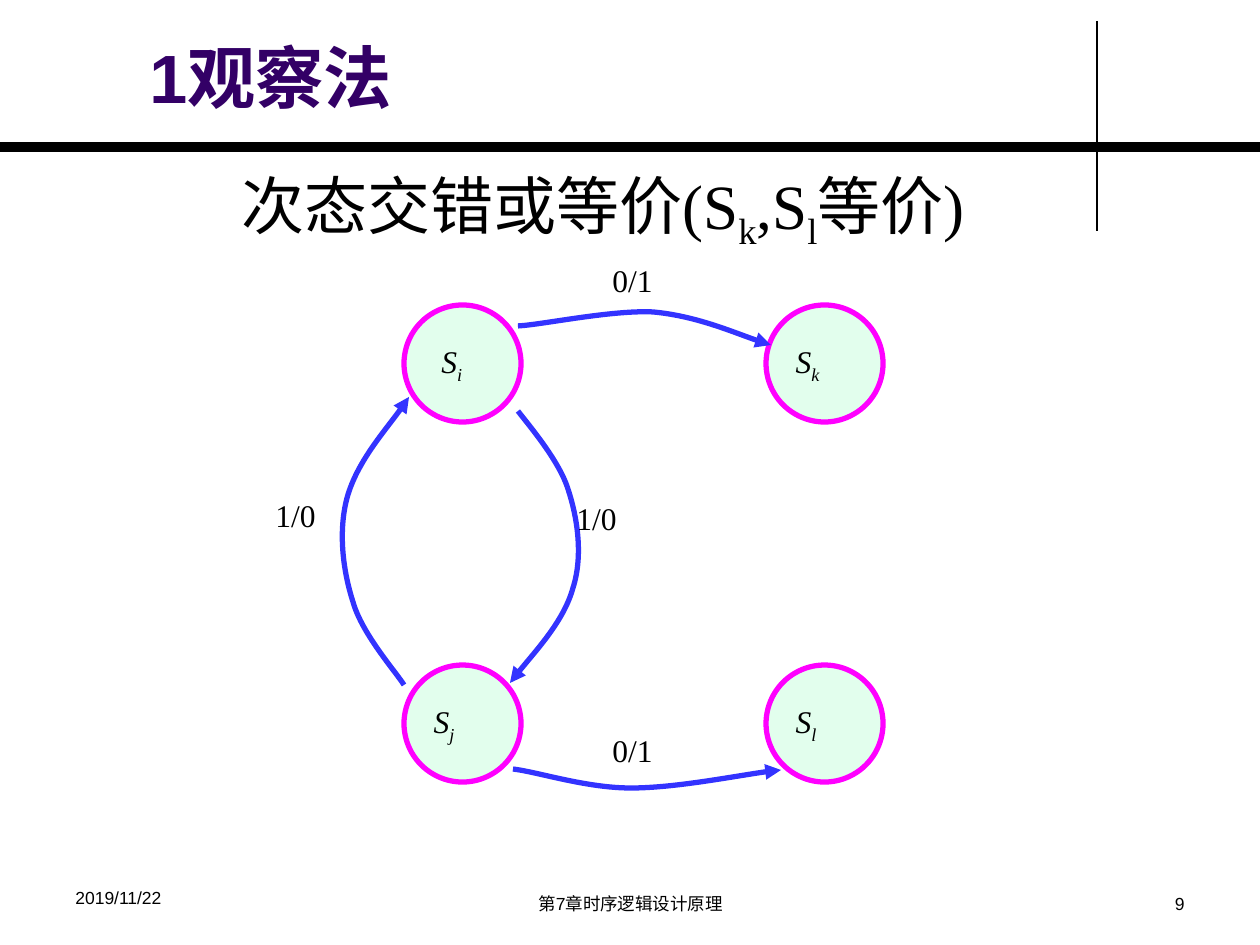
from typing import NamedTuple

from lxml.etree import SubElement
from pptx import Presentation
from pptx.dml.color import RGBColor
from pptx.enum.shapes import MSO_CONNECTOR as Conn, MSO_SHAPE as Shp
from pptx.enum.text import MSO_ANCHOR as Anchor, PP_ALIGN as Align
from pptx.oxml.ns import qn
from pptx.util import Emu, Pt

SCALE = 914400 / 126  # EMU in one px
SERIF, SANS = "Times New Roman", "Arial"
BLACK, TITLE, MINT, PINK, BLUE = "000000", "330066", "E2FEED", "FF00FF", "3333FF"
DIAMETER = 117


class Label(NamedTuple):
    text: str  # "_" puts the next character in subscript
    x: int
    y: int
    w: int
    h: int
    size: int
    font: str = SERIF
    color: str = BLACK
    bold: bool = False
    align: Align = Align.LEFT
    anchor: Anchor = Anchor.TOP


class State(NamedTuple):
    text: str
    x: int
    y: int


class Transition(NamedTuple):
    start: tuple[int, int]
    controls: list[tuple[int, int]]  # three points for each Bézier piece


def px(n: int) -> Emu:
    return Emu(round(n * SCALE))


def rgb(color: str) -> RGBColor:
    return RGBColor.from_string(color)


def set_line(s, color: str, width: float) -> None:
    s.line.color.rgb = rgb(color)
    s.line.width = Pt(width)


def write(tf, text: str, size: int, font: str = SERIF, color: str = BLACK,
          bold: bool = False, italic: bool = False, align: Align = Align.LEFT,
          anchor: Anchor = Anchor.TOP) -> None:
    tf.word_wrap = True
    tf.vertical_anchor = anchor
    p = tf.paragraphs[0]
    p.alignment = align
    f = p.font
    f.name, f.size, f.bold, f.italic = font, Pt(size), bold, italic
    f.color.rgb = rgb(color)
    first, *rest = text.split("_")
    pieces = [(first, False)]
    for part in rest:
        pieces += [(part[0], True), (part[1:], False)]
    for piece, subscript in pieces:
        if piece:
            r = p.add_run()
            r.text = piece
            if subscript:
                r.font._element.set("baseline", "-25000")


def add_label(shapes, label: Label) -> None:
    text, x, y, w, h, size, font, color, bold, align, anchor = label
    s = shapes.add_textbox(px(x), px(y), px(w), px(h))
    write(s.text_frame, text, size, font, color, bold, align=align, anchor=anchor)


def add_rule(shapes, x1: int, y1: int, x2: int, y2: int, width: float) -> None:
    s = shapes.add_connector(Conn.STRAIGHT, px(x1), px(y1), px(x2), px(y2))
    set_line(s, BLACK, width)
    SubElement(s._element.spPr, qn("a:effectLst"))


def add_state(shapes, state: State) -> None:
    s = shapes.add_shape(Shp.OVAL, px(state.x), px(state.y), px(DIAMETER), px(DIAMETER))
    s.shadow.inherit = False
    s.fill.solid()
    s.fill.fore_color.rgb = rgb(MINT)
    set_line(s, PINK, 3)
    write(s.text_frame, state.text, 18, italic=True, anchor=Anchor.MIDDLE)


def add_transition(shapes, t: Transition) -> None:
    builder = shapes.build_freeform(*t.start, scale=SCALE)
    builder.add_line_segments(t.controls, close=False)
    s = builder.convert_to_shape()
    s.shadow.inherit = False
    s.fill.background()
    set_line(s, BLUE, 3)
    # Every three straight segments become one cubic Bézier
    segments = list(s._element.iter(qn("a:lnTo")))
    outline = segments[0].getparent()
    for i in range(0, len(segments), 3):
        curve = SubElement(outline, qn("a:cubicBezTo"))
        for segment in segments[i:i + 3]:
            curve.append(segment[0])
            outline.remove(segment)
    SubElement(s.line._get_or_add_ln(), qn("a:tailEnd"), type="triangle")


LABELS = [
    Label("1观察法", 137, 25, 951, 102, 39, SANS, TITLE, True, anchor=Anchor.MIDDLE),
    Label("次态交错或等价(S_k,S_l等价)", 229, 160, 760, 89, 36),
    Label("2019/11/22", 63, 881, 294, 43, 10, SANS),
    Label("第7章时序逻辑设计原理", 431, 887, 399, 37, 10, SANS, align=Align.CENTER),
    Label("9", 903, 887, 294, 37, 10, SANS, align=Align.RIGHT),
] + [
    Label(text, x, y, 88, 72, 18)
    for text, x, y in [("1/0", 564, 493), ("1/0", 263, 490),
                       ("0/1", 600, 255), ("0/1", 600, 725)]
]

LEFT, RIGHT, TOP, BOTTOM = 404, 766, 305, 665
STATES = [State(" S_i", LEFT, TOP), State("S_j", LEFT, BOTTOM),
          State("S_k", RIGHT, TOP), State("S_l", RIGHT, BOTTOM)]

TRANSITIONS = [
    # Si to Sj
    Transition((518, 411), [(527, 423), (559, 460), (568, 489),
                            (578, 519), (583, 557), (573, 588),
                            (564, 621), (524, 664), (510, 683)]),
    # Sj to Si
    Transition((404, 685), [(396, 672), (362, 634), (353, 602),
                            (343, 571), (338, 532), (347, 498),
                            (357, 462), (396, 418), (409, 397)]),
    # Si to Sk
    Transition((518, 326), [(541, 325), (611, 310), (653, 312),
                            (696, 316), (747, 338), (771, 345)]),
    # Sj to Sl
    Transition((513, 769), [(538, 772), (586, 788), (631, 788),
                            (675, 788), (756, 772), (781, 770)]),
]


def main() -> None:
    prs = Presentation()
    prs.slide_width, prs.slide_height = px(1260), px(945)
    shapes = prs.slides.add_slide(prs.slide_layouts[6]).shapes

    # Page rules
    add_rule(shapes, 1097, 21, 1097, 231, 0.75)
    add_rule(shapes, 0, 147, 1260, 147, 6)

    # State diagram
    for state in STATES:
        add_state(shapes, state)
    for transition in TRANSITIONS:
        add_transition(shapes, transition)

    # Title, statement, footer and transition labels
    for label in LABELS:
        add_label(shapes, label)

    prs.save("out.pptx")


if __name__ == "__main__":
    main()
